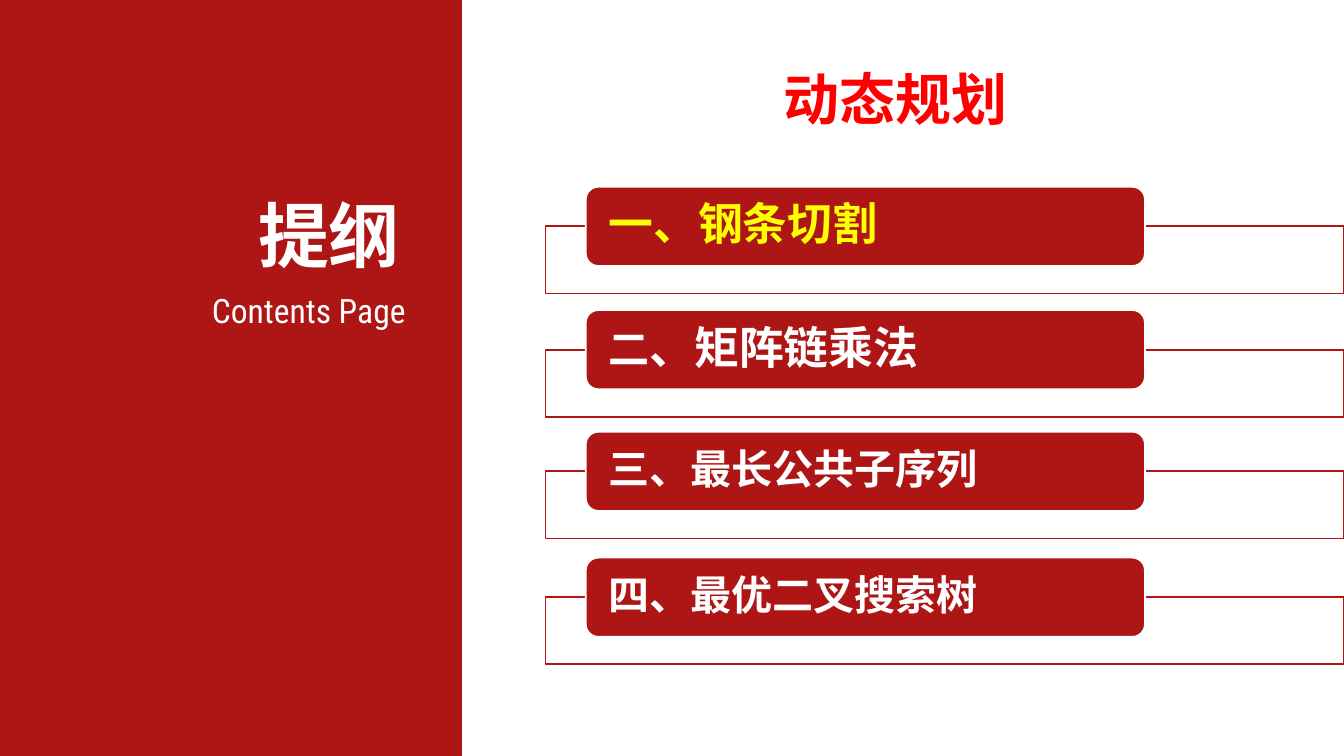
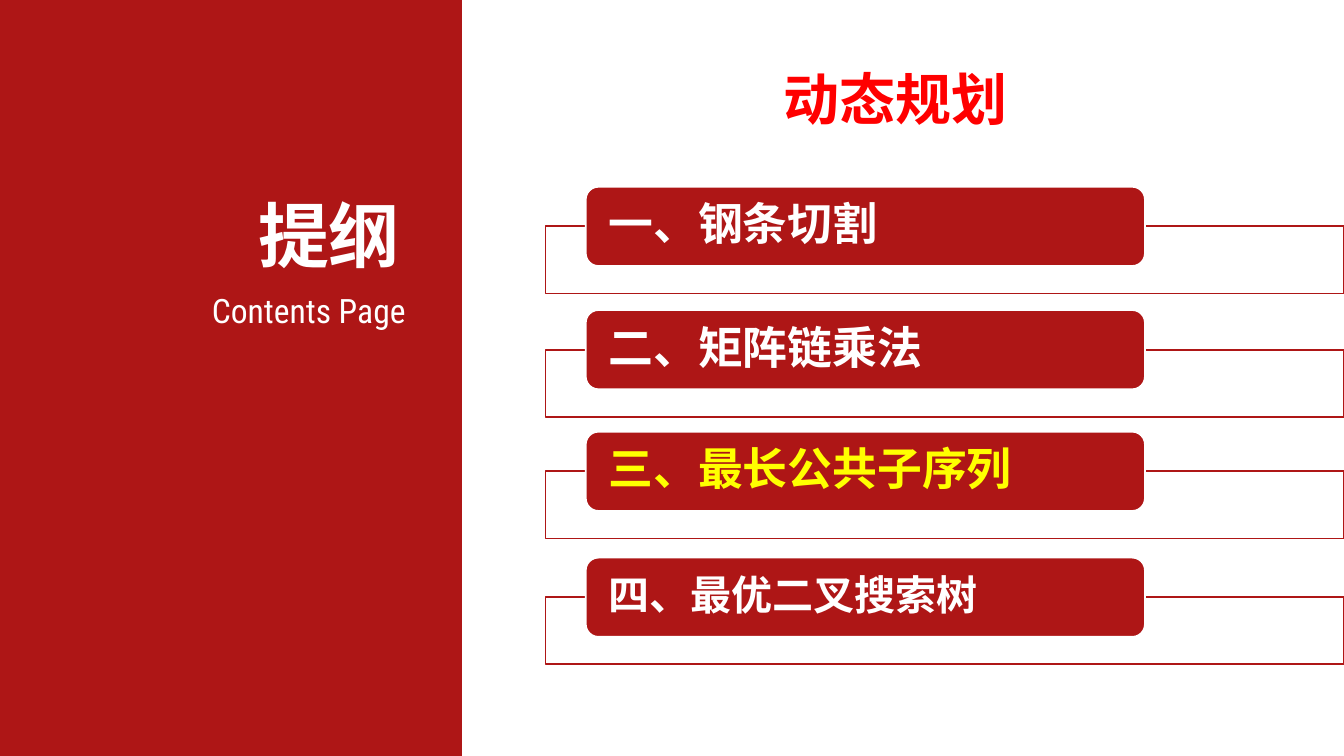
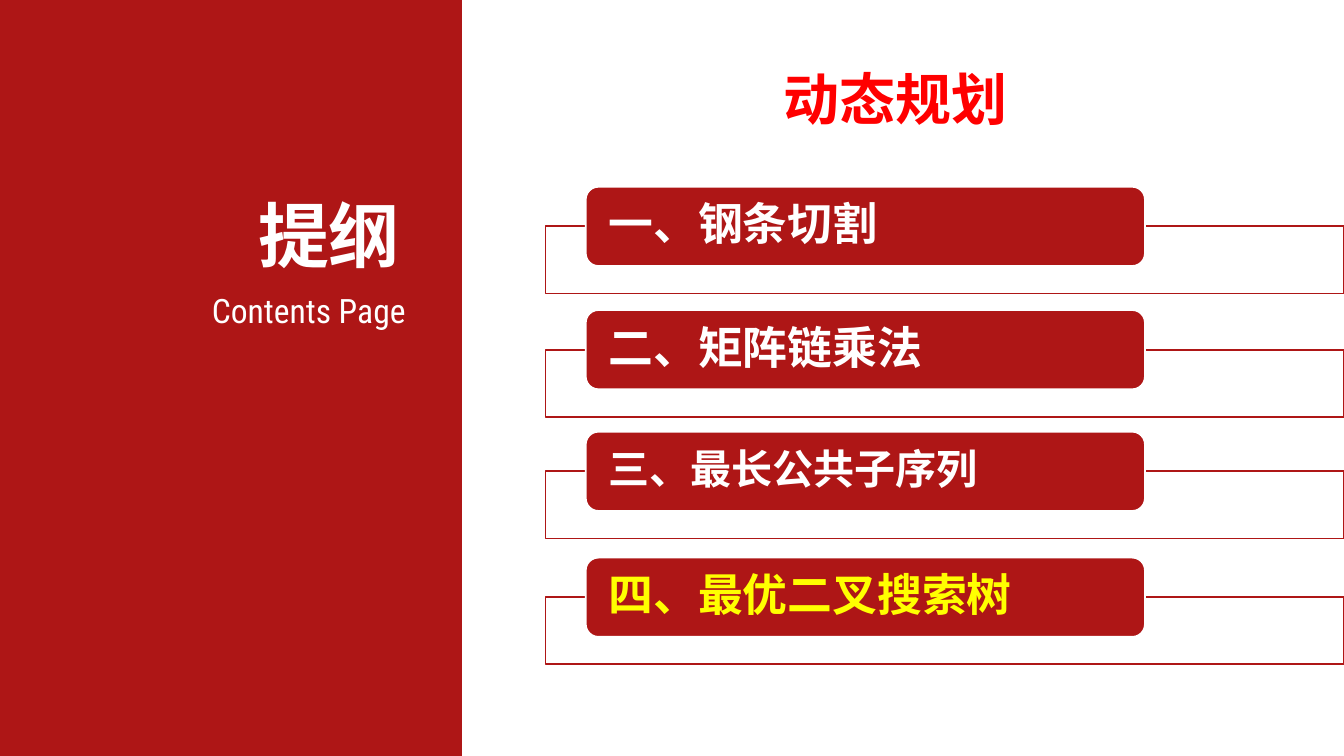
import dataclasses

import lxml.etree
import pptx
import pptx.dml.color
import pptx.enum.shapes
import pptx.enum.text
import pptx.oxml.ns
import pptx.util

Cm = pptx.util.Cm
Pt = pptx.util.Pt
RGB = pptx.dml.color.RGBColor.from_string
qn = pptx.oxml.ns.qn
SHAPE = pptx.enum.shapes.MSO_SHAPE
ALIGN = pptx.enum.text.PP_ALIGN
ANCHOR = pptx.enum.text.MSO_ANCHOR
AUTO_SIZE = pptx.enum.text.MSO_AUTO_SIZE


@dataclasses.dataclass(frozen=True)
class Style:
    size: int
    font: str
    color: str
    bold: bool = True


@dataclasses.dataclass(frozen=True)
class Theme:
    red: str = "AE1616"
    white: str = "FFFFFF"
    east_asian: str = "Noto Sans CJK SC"
    subtitle: Style = Style(18, "Roboto Condensed", "FFFFFF", False)
    outline: Style = Style(38, "Arial", "FFFFFF")
    chapter: Style = Style(30, "Arial", "FF0000")
    current: Style = Style(24, "Karla", "FFFF00")
    covered: Style = Style(24, "Karla", "FFFFFF")
    upcoming: Style = Style(22, "Noto Sans CJK SC", "FFFFFF")
    following: Style = Style(24, "Noto Sans CJK SC", "FFFFFF")


theme = Theme()


def add_panel(slide, kind, left, top, width, height, fill, line=None):
    panel = slide.shapes.add_shape(kind, Cm(left), Cm(top), Cm(width), Cm(height))
    panel.shadow.inherit = False
    panel.fill.solid()
    panel.fill.fore_color.rgb = RGB(fill)
    if line:
        panel.line.color.rgb = RGB(line)
        panel.line.width = Pt(1)
    else:
        panel.line.fill.background()
    return panel


def write(holder, runs, align, anchor, margins, spacing=None):
    frame = holder.text_frame
    frame.word_wrap = True
    frame.vertical_anchor = anchor
    frame.margin_left = frame.margin_right = Cm(margins[0])
    frame.margin_top = frame.margin_bottom = Cm(margins[1])
    paragraph = frame.paragraphs[0]
    paragraph.alignment = align
    paragraph.line_spacing = spacing
    for words, style in runs:
        run = paragraph.add_run()
        run.text = words
        run.font.size = Pt(style.size)
        run.font.bold = style.bold
        run.font.color.rgb = RGB(style.color)
        run.font.name = style.font
        east_asian = lxml.etree.SubElement(run.font._element, qn("a:ea"))
        east_asian.set("typeface", theme.east_asian)
    return paragraph


topics = ["一、钢条切割", "二、矩阵链乘法", "三、最长公共子序列", "四、最优二叉搜索树"]
topic_tops = [3.53, 5.86, 8.16, 10.54]
topic_left, topic_width, topic_height = 11.07, 10.57, 1.5
rail_left, rail_width, rail_height = 10.31, 15.09, 1.27

agendas = [
    [
        [(topics[0], theme.current)],
        [(topics[1][:1], theme.upcoming), (topics[1][1:], theme.following)],
        [(topics[2], theme.upcoming)],
        [(topics[3], theme.upcoming)],
    ],
    [
        [(topics[0], theme.covered)],
        [(topics[1], theme.covered)],
        [(topics[2], theme.current)],
        [(topics[3], theme.upcoming)],
    ],
    [
        [(topics[0], theme.covered)],
        [(topics[1], theme.covered)],
        [(topics[2], theme.upcoming)],
        [(topics[3], theme.current)],
    ],
]

sidebar_labels = [
    ("Contents Page", theme.subtitle, 0.86, 5.38, 6.99, 0.97),
    ("提纲", theme.outline, 2.79, 3.53, 4.95, 1.83),
]

deck = pptx.Presentation()
deck.slide_width = Cm(25.4)
deck.slide_height = Cm(14.29)

for agenda in agendas:
    slide = deck.slides.add_slide(deck.slide_layouts[6])
    add_panel(slide, SHAPE.RECTANGLE, 0, 0, 8.73, 14.29, theme.red)

    for words, style, left, top, width, height in sidebar_labels:
        label = slide.shapes.add_textbox(Cm(left), Cm(top), Cm(width), Cm(height))
        write(label, [(words, style)], ALIGN.RIGHT, ANCHOR.TOP, (0.18, 0.1))
        label.text_frame.auto_size = AUTO_SIZE.SHAPE_TO_FIT_TEXT

    chapter = slide.shapes.add_textbox(Cm(8.73), Cm(0), Cm(16.38), Cm(3.07))
    write(chapter, [("动态规划", theme.chapter)], ALIGN.CENTER, ANCHOR.MIDDLE, (0.25, 0.13), 1.5)

    for top, runs in zip(topic_tops, agenda):
        rail = add_panel(slide, SHAPE.RECTANGLE, rail_left, top + topic_height / 2,
                         rail_width, rail_height, theme.white, theme.red)
        rail_color = rail.fill._xPr.find(".//" + qn("a:srgbClr"))
        lxml.etree.SubElement(rail_color, qn("a:alpha")).set("val", "90000")

        topic = add_panel(slide, SHAPE.ROUNDED_RECTANGLE, topic_left, top,
                          topic_width, topic_height, theme.red, theme.white)
        topic.adjustments[0] = 0.16
        paragraph = write(topic, runs, ALIGN.LEFT, ANCHOR.MIDDLE, (0.36, 0.05), 0.9)
        space_after = lxml.etree.SubElement(paragraph._p.pPr, qn("a:spcAft"))
        lxml.etree.SubElement(space_after, qn("a:spcPct")).set("val", "35000")

deck.save("out.pptx")
